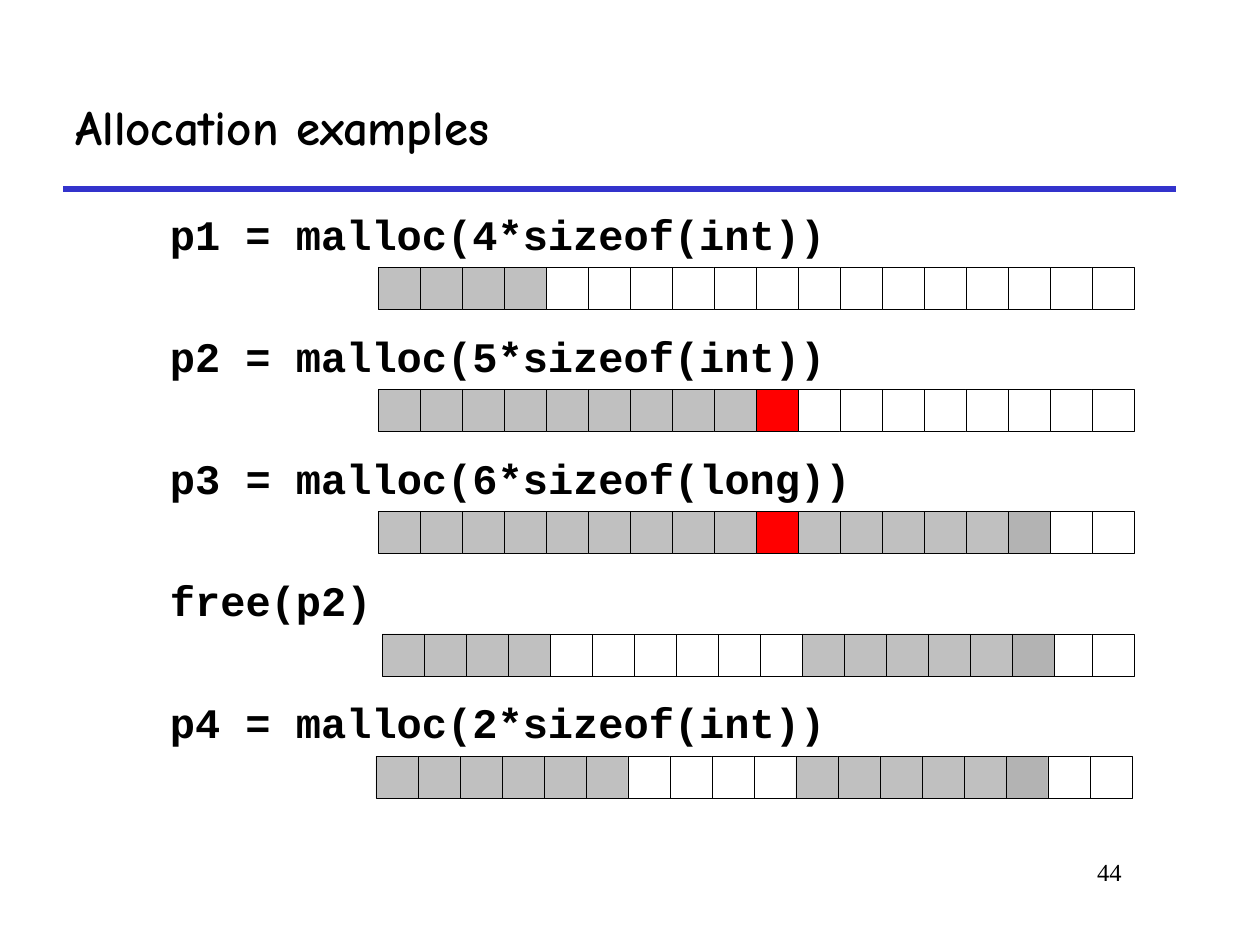
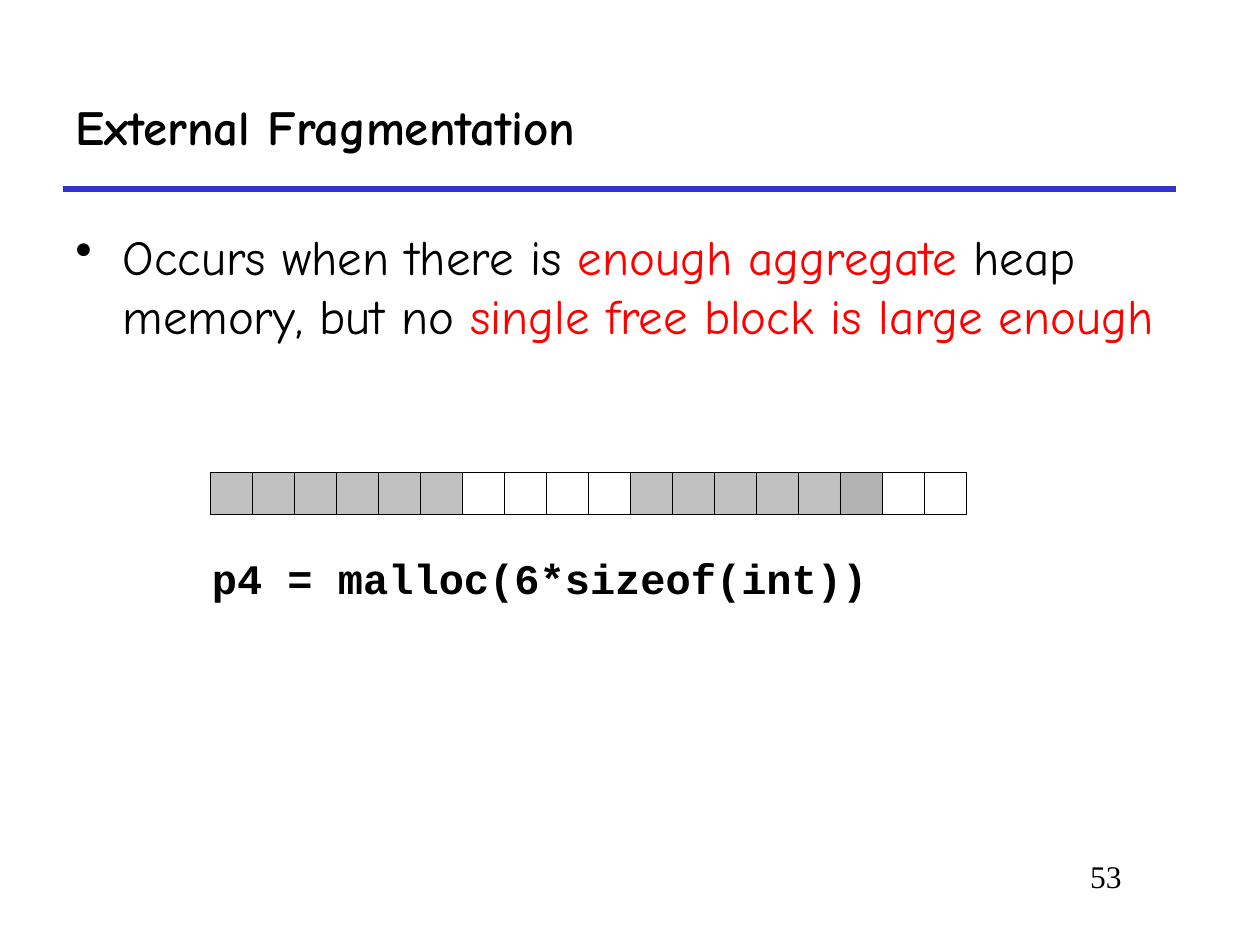
from pptx import Presentation
from pptx.dml.color import RGBColor
from pptx.enum.shapes import MSO_CONNECTOR, MSO_SHAPE
from pptx.enum.text import MSO_ANCHOR, MSO_AUTO_SIZE, PP_ALIGN
from pptx.oxml.ns import qn
from pptx.util import Pt
from lxml.etree import SubElement

COLORS = {"text": "000000", "rule": "3333CC", "alert": "FF0000",
          "used": "C0C0C0", "last": "B3B3B3", "free": "FFFFFF"}
# Heap diagrams: one letter per memory word
WORDS = {"u": "used", "l": "last", "r": "alert", ".": "free"}
HEADING_FONT, CODE_FONT, NUMBER_FONT = "Comic Neue", "Courier New", "Times New Roman"
MARGIN, CONTENT_WIDTH = 36, 636
CELL = 24
FRAGMENTED = "u" * 6 + "." * 4 + "u" * 5 + "l" + ".."


def rgb(name):
    return RGBColor.from_string(COLORS[name])


def write(para, text, font=HEADING_FONT, size=28, color="text", bold=False):
    span = para.add_run()
    span.text = text
    span.font.name = font
    span.font.size = Pt(size)
    span.font.bold = bold
    span.font.color.rgb = rgb(color)


def add_box(page, left, top, width, height, wrap=True):
    box = page.shapes.add_textbox(Pt(left), Pt(top), Pt(width), Pt(height))
    box.text_frame.word_wrap = wrap
    return box.text_frame


def add_page(deck, title, number, number_size):
    page = deck.slides.add_slide(deck.slide_layouts[5])

    # Rule under the title
    rule = page.shapes.add_connector(MSO_CONNECTOR.STRAIGHT, Pt(MARGIN), Pt(108),
                                     Pt(MARGIN + CONTENT_WIDTH), Pt(108))
    rule.line.color.rgb = rgb("rule")
    rule.line.width = Pt(3)
    SubElement(rule._element.spPr, qn("a:effectLst"))

    # Title
    holder = page.shapes.title
    holder.left, holder.top = Pt(MARGIN), Pt(36)
    holder.width, holder.height = Pt(CONTENT_WIDTH), Pt(72)
    frame = holder.text_frame
    frame.auto_size = MSO_AUTO_SIZE.NONE
    frame.vertical_anchor = MSO_ANCHOR.MIDDLE
    frame.paragraphs[0].alignment = PP_ALIGN.LEFT
    write(frame.paragraphs[0], title, bold=True)

    # Page number
    para = add_box(page, 546, 486, 102, 36).paragraphs[0]
    para.alignment = PP_ALIGN.RIGHT
    write(para, number, font=NUMBER_FONT, size=number_size)
    return page


def add_code(page, text, left, top, width=391.7):
    frame = add_box(page, left, top, width, 36.7, wrap=False)
    frame.auto_size = MSO_AUTO_SIZE.SHAPE_TO_FIT_TEXT
    write(frame.paragraphs[0], text, font=CODE_FONT, size=24, bold=True)


def add_heap(page, words, left, top, last_left=None):
    group = page.shapes.add_group_shape()
    lefts = [left + CELL * index for index in range(len(words))]
    if last_left is not None:
        lefts[-1] = last_left
    for word, cell_left in zip(words, lefts):
        cell = group.shapes.add_shape(MSO_SHAPE.RECTANGLE, Pt(cell_left), Pt(top),
                                      Pt(CELL), Pt(CELL))
        cell.shadow.inherit = False
        cell.fill.solid()
        cell.fill.fore_color.rgb = rgb(WORDS[word])
        cell.line.color.rgb = rgb("text")
        cell.line.width = Pt(0.25)


def add_bullet(page, spans):
    para = add_box(page, MARGIN, 126, CONTENT_WIDTH, 348).paragraphs[0]
    properties = para._p.get_or_add_pPr()
    properties.set("marL", str(Pt(27)))
    properties.set("indent", str(Pt(-27)))
    SubElement(properties, qn("a:buChar")).set("char", "•")
    for text, color in spans:
        write(para, text, color=color)


def add_allocation_examples(deck):
    page = add_page(deck, "Allocation examples", "44", 14)
    # Call, its text width, heap after the call, left edge, left of last word
    steps = [
        ("p1 = malloc(4*sizeof(int))", 391.7, "u" * 4 + "." * 14, 216, None),
        ("p2 = malloc(5*sizeof(int))", 391.7, "u" * 9 + "r" + "." * 8, 216, None),
        ("p3 = malloc(6*sizeof(long))", 406.8, "u" * 9 + "r" + "u" * 5 + "l..", 216, None),
        ("free(p2)", 130.3, "u" * 4 + "." * 6 + "u" * 5 + "l..", 218.4, 624),
        ("p4 = malloc(2*sizeof(int))", 391.7, FRAGMENTED, 214.8, None),
    ]
    for index, (call, width, words, left, last_left) in enumerate(steps):
        top = 152.8 + 69.8 * index
        add_heap(page, words, left, top, last_left)
        add_code(page, call, 90, top - 37.5, width)


def add_external_fragmentation(deck):
    page = add_page(deck, "External Fragmentation", "53", 18)
    add_bullet(page, [("Occurs when there is ", "text"),
                      ("enough aggregate", "alert"),
                      (" heap memory, but no ", "text"),
                      ("single free block is large enough", "alert")])
    add_code(page, "p4 = malloc(6*sizeof(int))", 114, 312)
    add_heap(page, FRAGMENTED, 120, 270)


def main():
    deck = Presentation()
    deck.slide_width, deck.slide_height = Pt(720), Pt(540)
    add_allocation_examples(deck)
    add_external_fragmentation(deck)
    deck.save("out.pptx")


if __name__ == "__main__":
    main()
